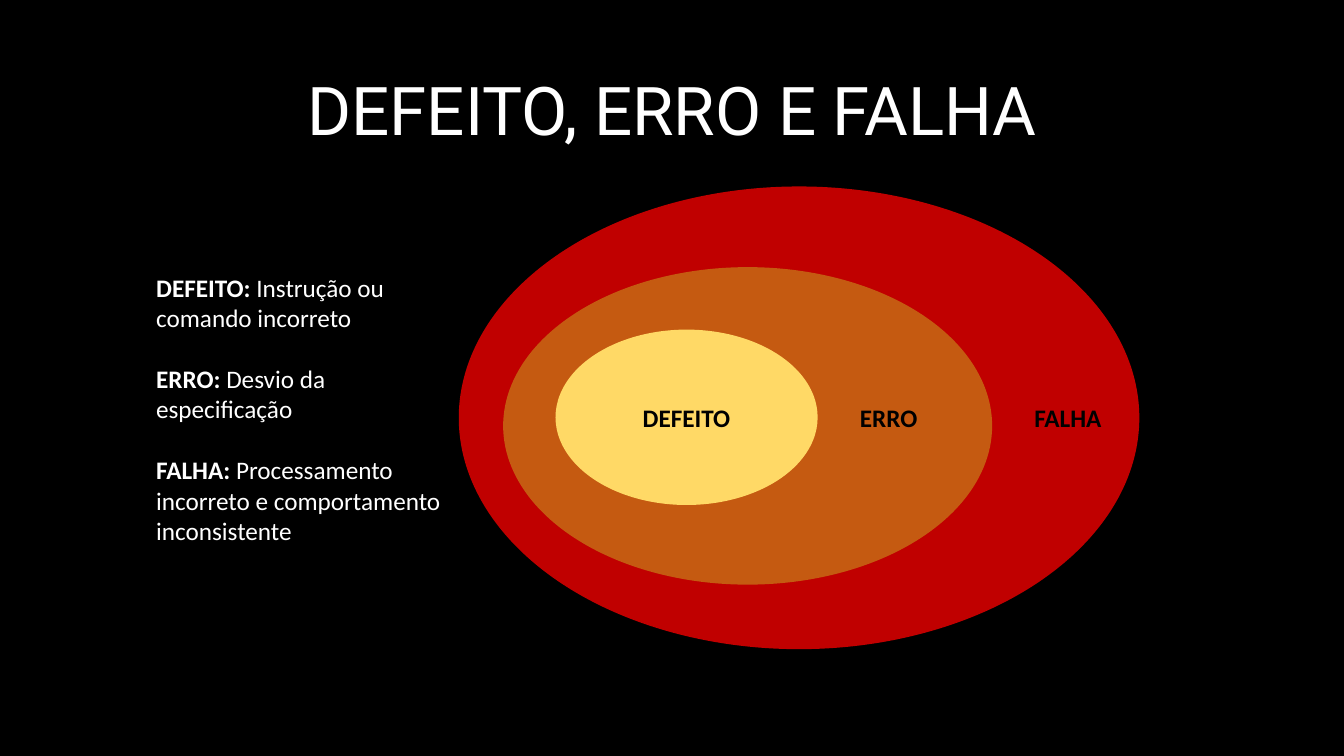
from dataclasses import dataclass

from pptx import Presentation
from pptx.dml.color import RGBColor
from pptx.enum.shapes import MSO_SHAPE
from pptx.enum.text import MSO_ANCHOR, PP_ALIGN
from pptx.util import Inches, Pt


@dataclass(frozen=True)
class Theme:
    background: str = "000000"
    light: str = "FFFFFF"
    dark: str = "000000"
    failure: str = "C00000"
    error: str = "C55A11"
    defect: str = "FFD966"
    title_font: str = "Roboto"
    body_font: str = "Calibri"
    title_size: int = 48
    body_size: int = 18
    definition_gap: int = 22


class SlideBuilder:
    """Draws themed elements on the current slide."""

    def __init__(self, slide, theme):
        self.slide = slide
        self.theme = theme
        slide.background.fill.solid()
        slide.background.fill.fore_color.rgb = RGBColor.from_string(theme.background)

    def style(self, span, color, bold=False, font=None, size=None):
        span.font.name = font or self.theme.body_font
        span.font.size = Pt(size or self.theme.body_size)
        span.font.bold = bold
        span.font.color.rgb = RGBColor.from_string(color)

    def text_box(self, left, top, width, height, wrap=True):
        box = self.slide.shapes.add_textbox(
            Inches(left), Inches(top), Inches(width), Inches(height)
        )
        box.text_frame.word_wrap = wrap
        return box

    def title(self, text, left, top, width, height):
        frame = self.text_box(left, top, width, height).text_frame
        frame.text = text
        frame.vertical_anchor = MSO_ANCHOR.MIDDLE
        para = frame.paragraphs[0]
        para.alignment = PP_ALIGN.CENTER
        para.line_spacing = 0.9
        self.style(
            para.runs[0], self.theme.light,
            font=self.theme.title_font, size=self.theme.title_size,
        )

    def ellipse(self, color, left, top, width, height, text=""):
        shape = self.slide.shapes.add_shape(
            MSO_SHAPE.OVAL, Inches(left), Inches(top), Inches(width), Inches(height)
        )
        shape.shadow.inherit = False
        shape.fill.solid()
        shape.fill.fore_color.rgb = RGBColor.from_string(color)
        shape.line.fill.background()
        if text:
            shape.text_frame.text = text
            shape.text_frame.vertical_anchor = MSO_ANCHOR.MIDDLE
            para = shape.text_frame.paragraphs[0]
            para.alignment = PP_ALIGN.CENTER
            self.style(para.runs[0], self.theme.dark, bold=True)

    def label(self, text, left, top, width, height):
        frame = self.text_box(left, top, width, height, wrap=False).text_frame
        frame.text = text
        self.style(frame.paragraphs[0].runs[0], self.theme.dark, bold=True)

    def definitions(self, entries, left, top, width, height):
        frame = self.text_box(left, top, width, height).text_frame
        for index, (term, meaning) in enumerate(entries):
            para = frame.add_paragraph() if index else frame.paragraphs[0]
            para.text = f"{term}: "
            if index:
                para.space_before = Pt(self.theme.definition_gap)
            self.style(para.runs[0], self.theme.light, bold=True)
            span = para.add_run()
            span.text = meaning
            self.style(span, self.theme.light)


def main():
    deck = Presentation()
    deck.slide_width = Inches(13.33)
    deck.slide_height = Inches(7.5)
    theme = Theme()
    page = SlideBuilder(deck.slides.add_slide(deck.slide_layouts[6]), theme)

    page.ellipse(theme.failure, 4.55, 1.85, 6.75, 4.59)
    page.ellipse(theme.error, 4.99, 2.65, 4.85, 3.15)
    page.ellipse(theme.defect, 5.51, 3.27, 2.6, 1.74, "DEFEITO")
    page.label("ERRO", 8.43, 3.94, 0.78, 0.4)
    page.label("FALHA", 10.16, 3.94, 0.87, 0.4)
    page.title("DEFEITO, ERRO E FALHA", 0.92, 0.4, 11.5, 1.45)
    page.definitions(
        [
            ("DEFEITO", "Instrução ou comando incorreto"),
            ("ERRO", "Desvio da especificação"),
            ("FALHA", "Processamento incorreto e comportamento inconsistente"),
        ],
        1.45, 2.65, 3.18, 2.83,
    )
    deck.save("out.pptx")


if __name__ == "__main__":
    main()
